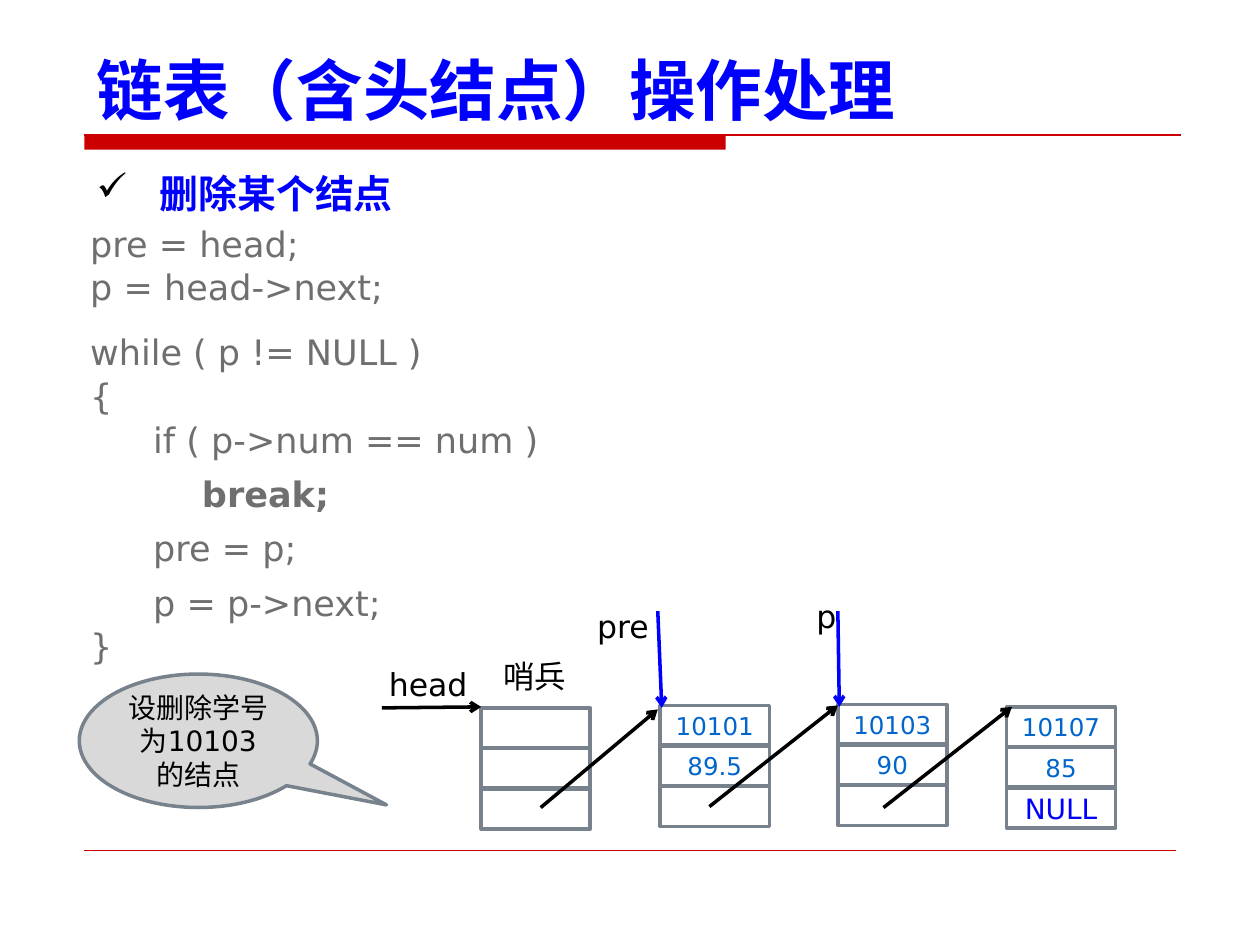
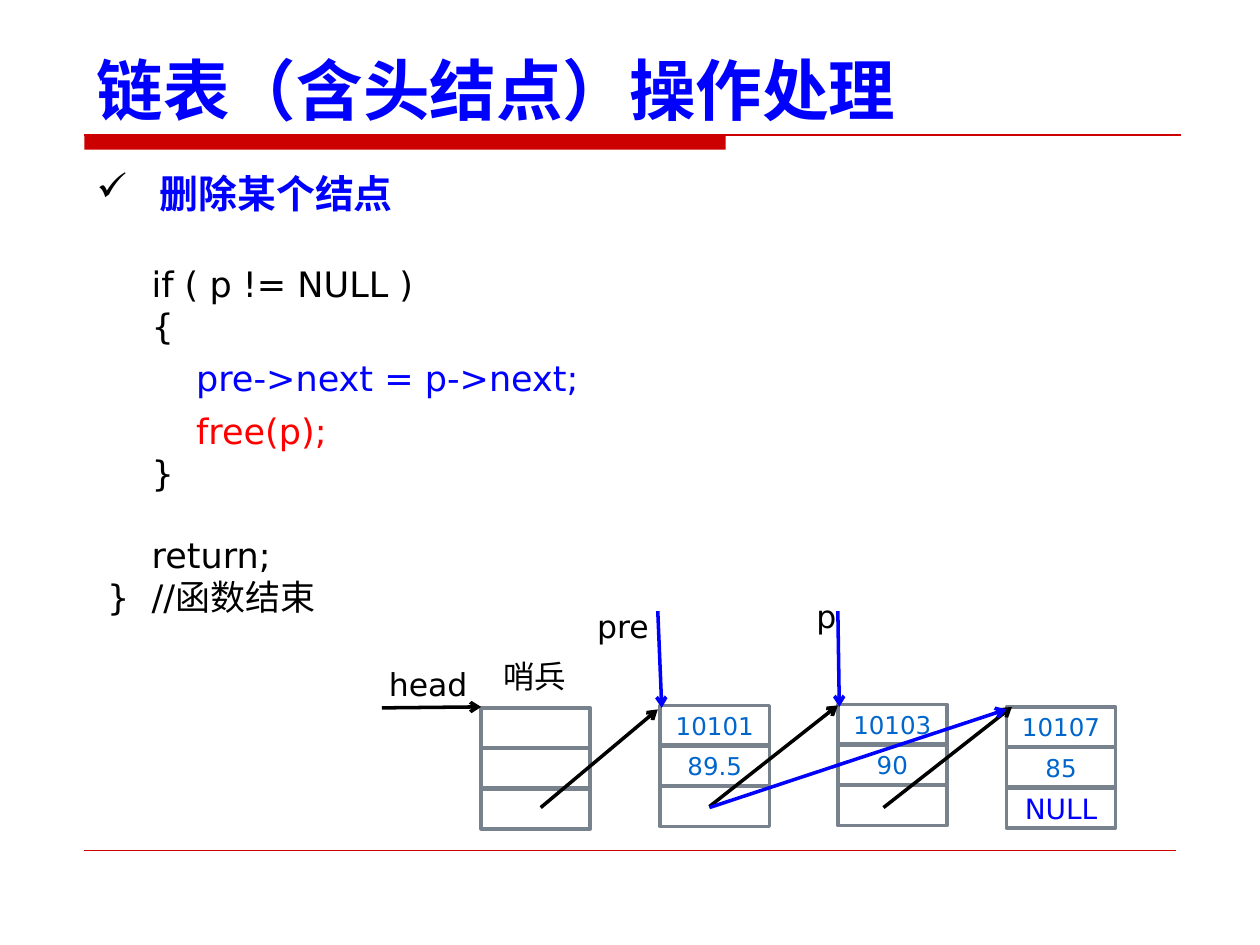
"""Build two slides on deleting a node from a linked list with a sentinel."""
from pptx import Presentation
from pptx.dml.color import RGBColor
from pptx.enum.shapes import MSO_CONNECTOR, MSO_SHAPE
from pptx.enum.text import MSO_ANCHOR, MSO_AUTO_SIZE, PP_ALIGN
from pptx.oxml.ns import qn
from pptx.util import Cm, Pt
from lxml.etree import SubElement

FONT = "DejaVu Sans"
BLACK, BLUE, RED, GRAY = "000000", "0000FF", "FF0000", "6F6F6F"
BAND_RED, NODE_BLUE, BORDER = "CC0000", "0066CC", "77828D"
WHITE, CALLOUT_GRAY = "FFFFFF", "D9D9D9"
LEFT, CENTER, RIGHT = PP_ALIGN.LEFT, PP_ALIGN.CENTER, PP_ALIGN.RIGHT

TITLE = "链表（含头结点）操作处理"
HEADING = "删除某个结点"
CALLOUT_LINES = ["设删除学号为10103", "的结点"]

SEARCH_CODE = [
    ("pre = head;", 0, GRAY, False),
    ("p = head->next;", 0, GRAY, False),
    ("while ( p != NULL )", 12, GRAY, False),
    ("{", 0, GRAY, False),
    ("\tif ( p->num == num )", 0, GRAY, False),
    ("\t    break;", 6, GRAY, True),
    ("\tpre = p;", 6, GRAY, False),
    ("\tp = p->next;", 6, GRAY, False),
    ("}", 0, GRAY, False),
]
DELETE_CODE = [
    ("    if ( p != NULL )", 0, BLACK, False),
    ("    {", 0, BLACK, False),
    ("        pre->next = p->next;", 6, BLUE, False),
    ("        free(p);", 6, RED, False),
    ("    }", 0, BLACK, False),
    ("    return;", 23, BLACK, False),
    ("}  //函数结束", 0, BLACK, False),
]

NODES = [
    (9.7, 14.27, ["", "", ""]),
    (13.31, 14.22, ["10101", "89.5", ""]),
    (16.89, 14.2, ["10103", "90", ""]),
    (20.29, 14.25, ["10107", "85", "NULL"]),
]
NODE_WIDTH, ROW_HEIGHT, ROW_PITCH = 2.2, 0.8, 0.82

LABELS = [
    ("head", 7.59, 13.28, LEFT),
    ("哨兵", 9.9, 13.13, LEFT),
    ("pre", 11.13, 12.12, RIGHT),
    ("p", 14.91, 11.91, RIGHT),
]

RULES = [
    (1.7, 2.72, 23.8, 2.72, BAND_RED, 0.75),
    (1.7, 17.15, 23.7, 17.15, BAND_RED, 0.25),
]
ARROWS = [
    (7.7, 14.27, 9.7, 14.25, BLACK, 2),
    (10.9, 16.28, 13.26, 14.3, BLACK, 2),
    (14.3, 16.26, 16.89, 14.22, BLACK, 2),
    (17.81, 16.28, 20.4, 14.25, BLACK, 2),
    (16.89, 12.32, 16.92, 14.25, BLUE, 2),
    (13.26, 12.32, 13.34, 14.27, BLUE, 2),
]
BYPASS_ARROW = (14.3, 16.28, 20.29, 14.3, BLUE, 2)

SLIDES = [
    (SEARCH_CODE, (1.57, 4.32, 15.9, 9.25), Pt(25), ARROWS, True),
    (DELETE_CODE, (1.91, 5.16, 11.1, 7.4), 1.0, ARROWS + [BYPASS_ARROW], False),
]


def hex_color(value):
    """Turn a hex string into a colour."""
    return RGBColor.from_string(value)


def write_paragraph(paragraph, text, size, color, bold=False, alignment=LEFT):
    """Fill a paragraph and format its runs."""
    paragraph.text = text
    paragraph.alignment = alignment
    for run in paragraph.runs:
        run.font.name = FONT
        run.font.size = Pt(size)
        run.font.bold = bold
        run.font.color.rgb = hex_color(color)


presentation = Presentation()
presentation.slide_width = Cm(25.4)
presentation.slide_height = Cm(19.05)

for code, code_box, line_spacing, arrows, has_callout in SLIDES:
    slide = presentation.slides.add_slide(presentation.slide_layouts[5])
    shapes = slide.shapes

    title = shapes.title
    title.left, title.top, title.width, title.height = Cm(1.7), Cm(0.71), Cm(23), Cm(2.01)
    title.text_frame.auto_size = MSO_AUTO_SIZE.NONE
    title.text_frame.vertical_anchor = MSO_ANCHOR.BOTTOM
    write_paragraph(title.text_frame.paragraphs[0], TITLE, 38, BLUE, True)

    band = shapes.add_shape(MSO_SHAPE.RECTANGLE, Cm(1.7), Cm(2.72), Cm(12.93), Cm(0.3))
    band.shadow.inherit = False
    band.fill.solid()
    band.fill.fore_color.rgb = hex_color(BAND_RED)
    band.line.fill.background()

    heading = shapes.add_textbox(Cm(1.7), Cm(3), Cm(20.8), Cm(1.32))
    heading.text_frame.word_wrap = True
    paragraph = heading.text_frame.paragraphs[0]
    paragraph.line_spacing = Pt(35)
    properties = paragraph._p.get_or_add_pPr()
    properties.set("marL", str(Cm(1.27)))
    properties.set("indent", str(-Cm(1.27)))
    bullet_color = SubElement(properties, qn("a:buClr"))
    SubElement(bullet_color, qn("a:srgbClr")).set("val", BLACK)
    SubElement(properties, qn("a:buChar")).set("char", "✓")
    write_paragraph(paragraph, HEADING, 22.2, BLUE, True)

    text_box = shapes.add_textbox(*map(Cm, code_box))
    text_frame = text_box.text_frame
    text_frame.word_wrap = True
    for index, (text, space_before, color, bold) in enumerate(code):
        paragraph = text_frame.add_paragraph() if index else text_frame.paragraphs[0]
        paragraph.line_spacing = line_spacing
        paragraph.space_before = Pt(space_before)
        write_paragraph(paragraph, text, 20, color, bold)

    for left, top, values in NODES:
        for row, value in enumerate(values):
            cell = shapes.add_shape(MSO_SHAPE.RECTANGLE, Cm(left), Cm(top + row * ROW_PITCH),
                                    Cm(NODE_WIDTH), Cm(ROW_HEIGHT))
            cell.shadow.inherit = False
            cell.fill.solid()
            cell.fill.fore_color.rgb = hex_color(WHITE)
            cell.line.color.rgb = hex_color(BORDER)
            cell.line.width = Pt(2)
            if value:
                size, color = (16, BLUE) if value == "NULL" else (14, NODE_BLUE)
                write_paragraph(cell.text_frame.paragraphs[0], value, size, color,
                                alignment=CENTER)

    for text, left, top, alignment in LABELS:
        label = shapes.add_textbox(Cm(left), Cm(top), Cm(2.2), Cm(1.02))
        label.text_frame.word_wrap = True
        write_paragraph(label.text_frame.paragraphs[0], text, 18, BLACK, alignment=alignment)

    for line in RULES + arrows:
        *ends, color, width = line
        connector = shapes.add_connector(MSO_CONNECTOR.STRAIGHT, *map(Cm, ends))
        connector.line.color.rgb = hex_color(color)
        connector.line.width = Pt(width)
        shape_properties = connector.element.spPr
        if line in arrows:
            outline = shape_properties.find(qn("a:ln"))
            SubElement(outline, qn("a:tailEnd")).set("type", "arrow")
        SubElement(shape_properties, qn("a:effectLst"))

    if has_callout:
        callout = shapes.add_shape(MSO_SHAPE.OVAL_CALLOUT, Cm(1.6), Cm(13.59), Cm(4.8), Cm(2.69))
        callout.adjustments[0], callout.adjustments[1] = 0.79, 0.48
        callout.shadow.inherit = False
        callout.fill.solid()
        callout.fill.fore_color.rgb = hex_color(CALLOUT_GRAY)
        callout.line.color.rgb = hex_color(BORDER)
        callout.line.width = Pt(2)
        text_frame = callout.text_frame
        text_frame.text = "\n".join(CALLOUT_LINES)
        for paragraph, text in zip(text_frame.paragraphs, CALLOUT_LINES):
            write_paragraph(paragraph, text, 16, BLACK, alignment=CENTER)

presentation.save("out.pptx")
